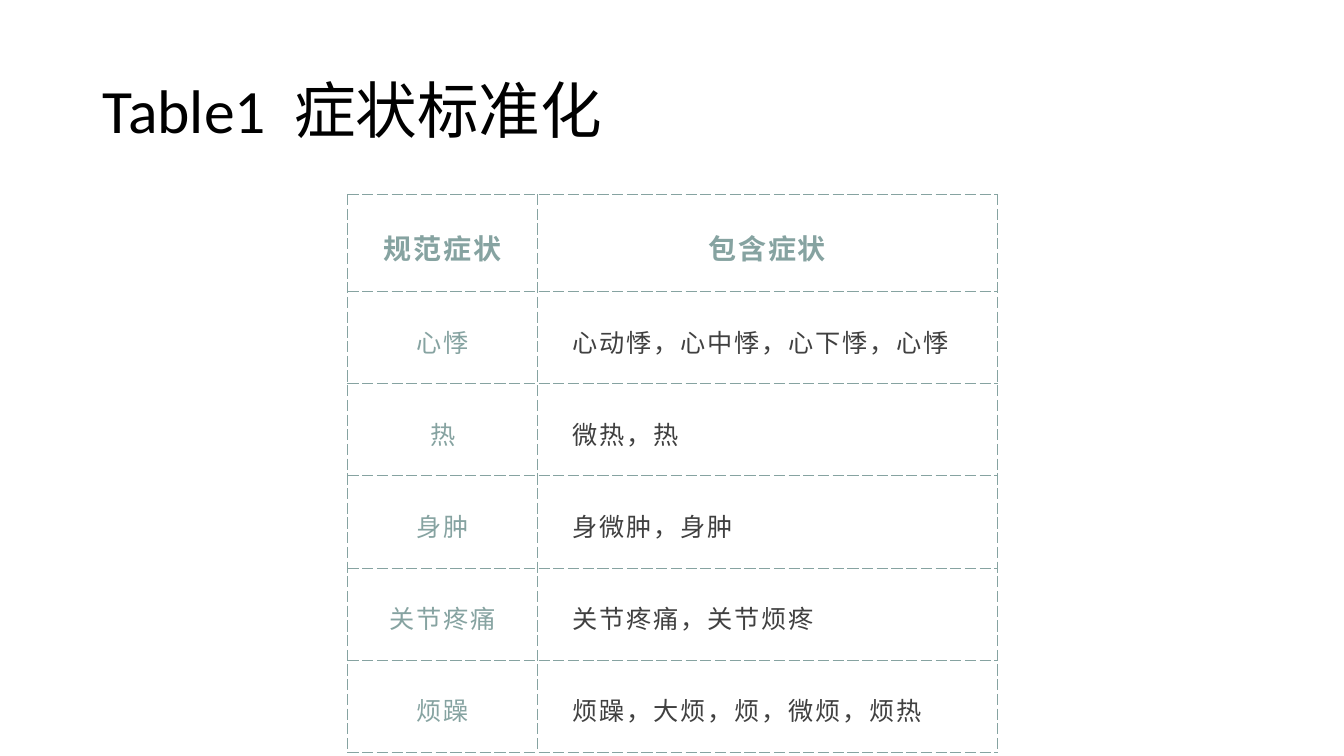
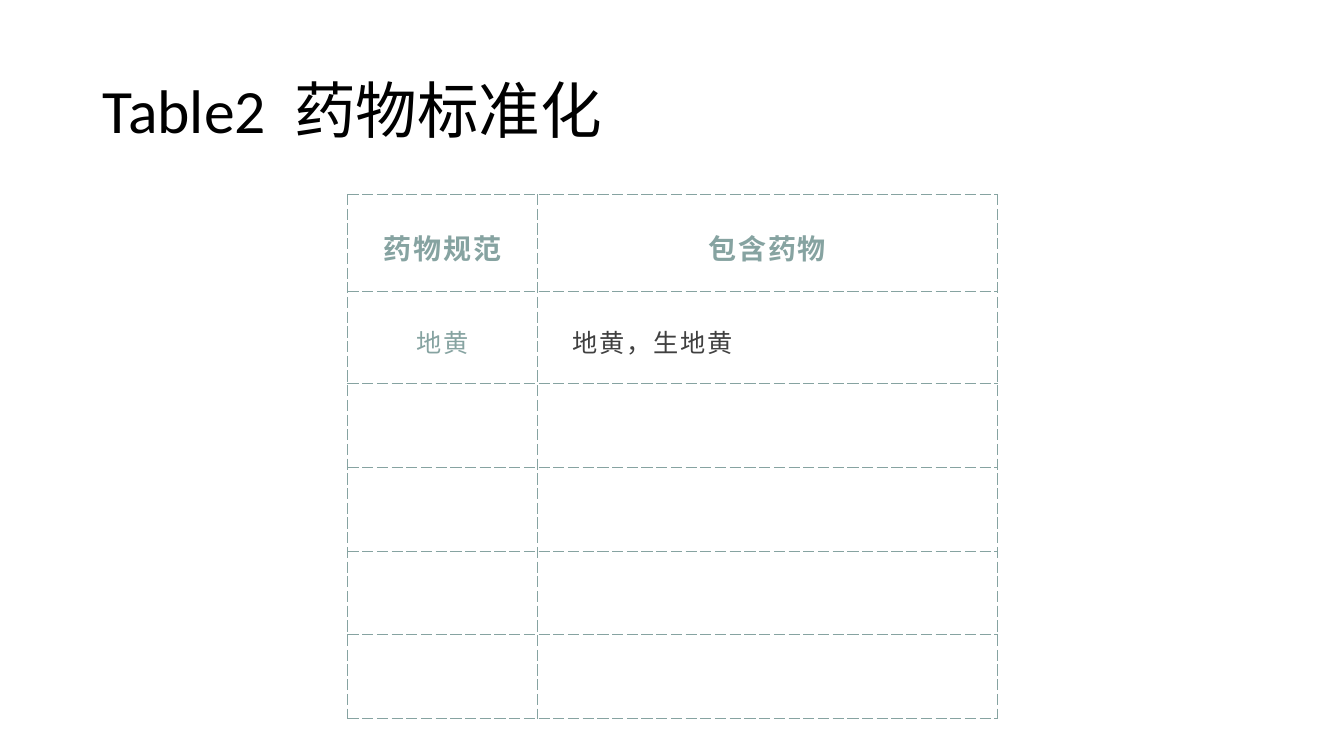
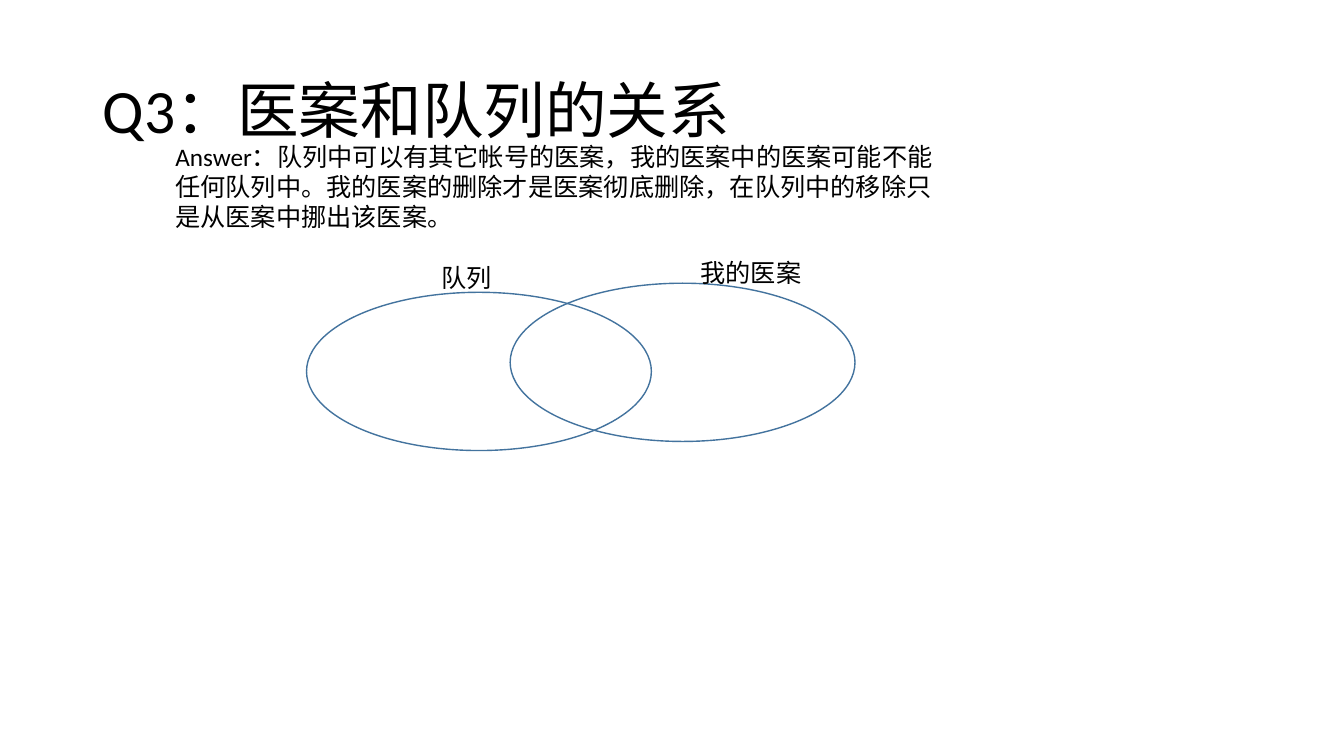
import lxml.etree
import pptx
import pptx.dml.color
import pptx.enum.lang
import pptx.enum.shapes
import pptx.enum.text
import pptx.oxml
import pptx.oxml.ns
import pptx.util

PX = 9144
SAGE, CHARCOAL, BLACK, WHITE, BLUE = "86A3A1", "404040", "000000", "FFFFFF", "43739E"
LATIN, CHINESE = "Calibri", "Noto Sans CJK SC"
ROW_COUNT = 6
ALIGN = pptx.enum.text.PP_ALIGN
ANCHOR = pptx.enum.text.MSO_ANCHOR
FIT = pptx.enum.text.MSO_AUTO_SIZE


def rgb(value):
    return pptx.dml.color.RGBColor.from_string(value)


def style(paragraph, size, color, name=LATIN):
    for run in paragraph.runs:
        run.font.size = pptx.util.Pt(size)
        run.font.name = name
        run.font.color.rgb = rgb(color)
        run.font.language_id = pptx.enum.lang.MSO_LANGUAGE_ID.SIMPLIFIED_CHINESE


deck = pptx.Presentation()
deck.slide_width, deck.slide_height = 1333 * PX, 750 * PX

titles = ["Table1  症状标准化", "Table2  药物标准化", "Q3：医案和队列的关系"]
slides = []
for wording in titles:
    slide = deck.slides.add_slide(deck.slide_layouts[5])
    title = slide.shapes.title
    title.left, title.top, title.width, title.height = 92 * PX, 40 * PX, 1150 * PX, 145 * PX
    title.text_frame.text = wording
    title.text_frame.auto_size = FIT.NONE
    title.text_frame.vertical_anchor = ANCHOR.MIDDLE
    heading = title.text_frame.paragraphs[0]
    heading.alignment = ALIGN.LEFT
    heading.line_spacing = 0.9
    style(heading, 44, BLACK)
    slides.append(slide)

symptoms = [
    ("规范症状", "包含症状"),
    ("心悸", "心动悸，心中悸，心下悸，心悸"),
    ("热", "微热，热"),
    ("身肿", "身微肿，身肿"),
    ("关节疼痛", "关节疼痛，关节烦疼"),
    ("烦躁", "烦躁，大烦，烦，微烦，烦热"),
]
medicines = [("药物规范", "包含药物"), ("地黄", "地黄，生地黄")]

for slide, entries in zip(slides, [symptoms, medicines]):
    table = slide.shapes.add_table(ROW_COUNT, 2, 345 * PX, 193 * PX, 644 * PX, 502 * PX).table
    table.first_row = table.horz_banding = False
    table.columns[0].width, table.columns[1].width = 188 * PX, 456 * PX
    for row_index, row in enumerate(table.rows):
        is_header = row_index == 0
        row.height = (87 if is_header else 83) * PX
        for column_index, cell in enumerate(row.cells):
            cell.fill.solid()
            cell.fill.fore_color.rgb = rgb(WHITE)
            for position, side in enumerate(["lnL", "lnR", "lnT", "lnB"]):
                border = pptx.oxml.parse_xml(
                    f'<a:{side} {pptx.oxml.ns.nsdecls("a")} w="9525">'
                    f'<a:solidFill><a:srgbClr val="{SAGE}"/></a:solidFill>'
                    f'<a:prstDash val="sysDash"/></a:{side}>'
                )
                cell._tc.get_or_add_tcPr().insert(position, border)
            if row_index >= len(entries):
                continue
            cell.text_frame.text = entries[row_index][column_index]
            cell.vertical_anchor = ANCHOR.MIDDLE
            cell.margin_left = cell.margin_right = 35 * PX
            cell.margin_top = cell.margin_bottom = 24 * PX
            is_label = is_header or column_index == 0
            entry = cell.text_frame.paragraphs[0]
            entry.alignment = ALIGN.CENTER if is_label else ALIGN.LEFT
            entry.line_spacing = 1.2
            style(entry, 20 if is_header else 18, SAGE if is_label else CHARCOAL, CHINESE)
            for run in entry.runs:
                run.font.bold = is_header
                properties = run.font._element
                properties.set("spc", "130")
                east_asian = lxml.etree.SubElement(properties, pptx.oxml.ns.qn("a:ea"))
                east_asian.set("typeface", CHINESE)

relation = slides[2]
venn = relation.shapes.add_group_shape()
for left, top in [(304, 290), (506, 281)]:
    circle = venn.shapes.add_shape(
        pptx.enum.shapes.MSO_SHAPE.OVAL, left * PX, top * PX, 342 * PX, 157 * PX
    )
    circle.shadow.inherit = False
    circle.fill.background()
    circle.line.color.rgb = rgb(BLUE)
    circle.line.width = pptx.util.Pt(1)

answer = (
    "Answer：队列中可以有其它帐号的医案，我的医案中的医案可能不能任何队列中。"
    "我的医案的删除才是医案彻底删除，在队列中的移除只是从医案中挪出该医案。"
)
captions = [
    (venn.shapes, "队列", 428, 255, 70, 40, False),
    (venn.shapes, "我的医案", 685, 250, 120, 40, False),
    (relation.shapes, answer, 164, 135, 771, 101, True),
]
for parent, wording, left, top, width, height, wraps in captions:
    caption = parent.add_textbox(left * PX, top * PX, width * PX, height * PX).text_frame
    caption.text = wording
    caption.word_wrap = wraps
    caption.auto_size = FIT.SHAPE_TO_FIT_TEXT
    style(caption.paragraphs[0], 18, BLACK)

deck.save("out.pptx")
